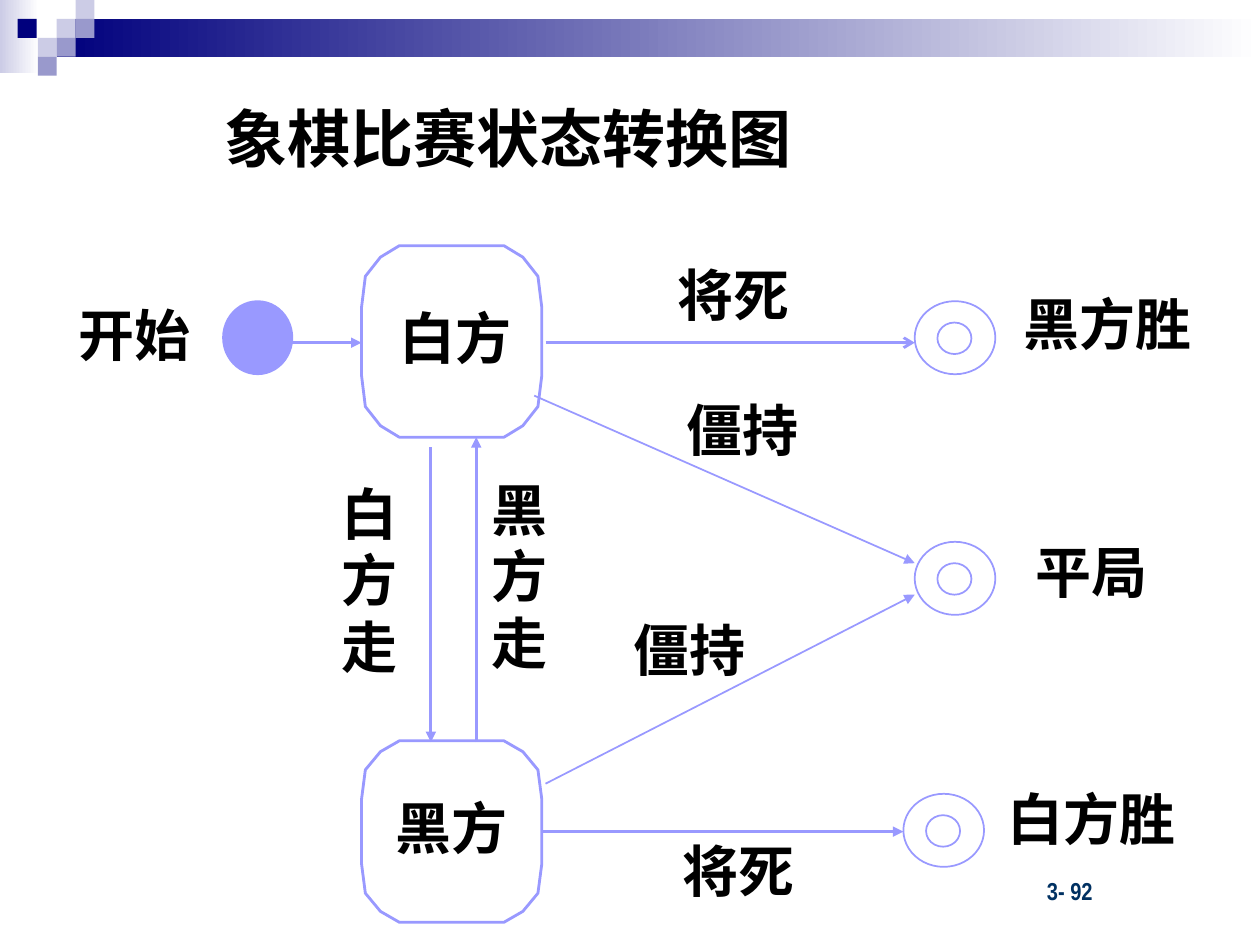
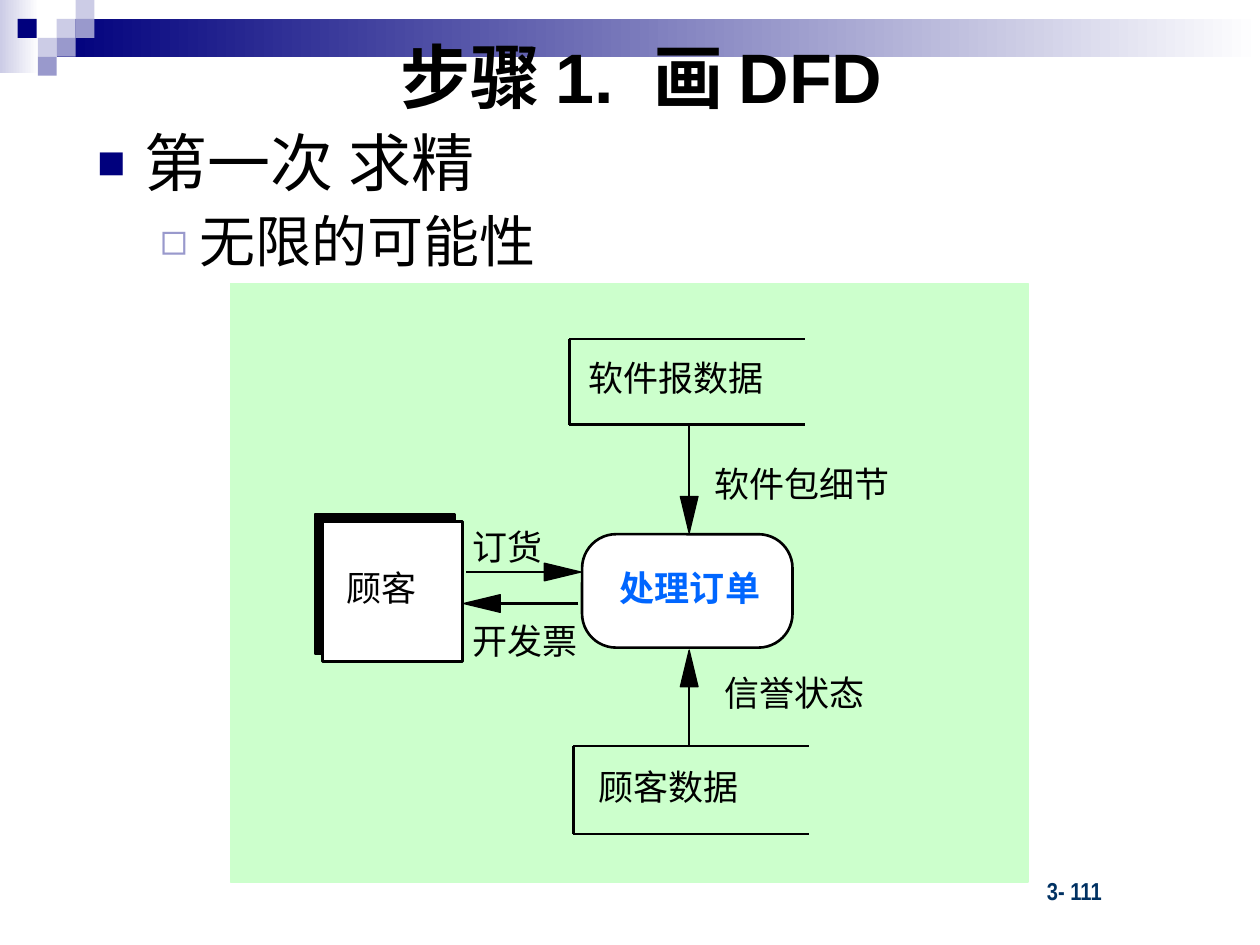
from pptx import Presentation
from pptx.dml.color import RGBColor
from pptx.enum.shapes import MSO_CONNECTOR, MSO_SHAPE
from pptx.enum.text import MSO_ANCHOR, MSO_AUTO_SIZE, PP_ALIGN
from pptx.oxml.ns import qn
from pptx.shapes.connector import Connector
from pptx.util import Inches, Pt
from lxml.etree import SubElement

HUES = {
    "navy": "00007D", "mist": "CCCCE6", "haze": "9999CC", "white": "FFFFFF",
    "black": "000000", "lilac": "9999FF", "mint": "CCFFCC", "blue": "0066FF",
    "ink": "003162",
}
RGB = {name: RGBColor.from_string(code) for name, code in HUES.items()}
CJK = "Noto Sans CJK SC"


def paint(item, edge, width=1, fill=None):
    """Set the outline, fill and lack of shadow of a shape or connector."""
    if edge:
        item.line.color.rgb = RGB[edge]
        item.line.width = Pt(width)
    else:
        item.line.fill.background()
    if isinstance(item, Connector):
        SubElement(item.element.spPr, qn("a:effectLst"))
        return
    item.shadow.inherit = False
    if fill:
        item.fill.solid()
        item.fill.fore_color.rgb = RGB[fill]
    else:
        item.fill.background()


def write(para, text, size, hue="black", bold=False, face="Arial"):
    """Add one run, with its Latin and East Asian fonts."""
    run = para.add_run()
    run.text = text
    run.font.name = face
    run.font.size = Pt(size)
    run.font.bold = bold
    run.font.color.rgb = RGB[hue]
    SubElement(run.font._element, qn("a:ea")).set("typeface", CJK)


prs = Presentation()
prs.slide_width, prs.slide_height = Inches(10), Inches(7.5)
chess = prs.slides.add_slide(prs.slide_layouts[5])
flow = prs.slides.add_slide(prs.slide_layouts[1])

# Top band and squares, kept on the master
master = prs.slide_master.shapes.element
bands = [
    (0, 0, 0.31, 0.58, "mist", True),
    (0.45, 0.15, 9.55, 0.3, "navy", True),
]
bands += [(x, y, 0.15, 0.15, hue, False) for x, y, hue in (
    (0.45, 0.15, "mist"), (0.6, 0, "mist"), (0.6, 0.15, "haze"),
    (0.3, 0.3, "mist"), (0.14, 0.15, "navy"), (0.45, 0.3, "haze"),
    (0.3, 0.45, "haze"),
)]
for n, (x, y, w, h, hue, fade) in enumerate(bands):
    band = chess.shapes.add_shape(
        MSO_SHAPE.RECTANGLE, Inches(x), Inches(y), Inches(w), Inches(h))
    paint(band, None, fill=hue)
    if fade:
        band.fill.gradient()
        band.fill.gradient_angle = 0
        for stop, tone, spot in zip(band.fill.gradient_stops, (hue, "white"), (0, 1)):
            stop.color.rgb = RGB[tone]
            stop.position = spot
    band.element.nvSpPr.cNvPr.set("id", str(20 + n))
    master.insert(2 + n, band.element)

# Titles and page numbers
for page, text, size, number, x, y, w, h in (
    (chess, "象棋比赛状态转换图", 36, "3- 92", 1.07, 0.74, 5.92, 0.7),
    (flow, "步骤 1.  画 DFD", 40, "3- 111", 0.59, 0, 9, 1.2),
):
    title = page.shapes.title
    title.left, title.top = Inches(x), Inches(y)
    title.width, title.height = Inches(w), Inches(h)
    frame = title.text_frame
    frame.auto_size = MSO_AUTO_SIZE.NONE
    frame.vertical_anchor = MSO_ANCHOR.MIDDLE
    frame.paragraphs[0].alignment = PP_ALIGN.CENTER
    write(frame.paragraphs[0], text, size, bold=True)
    foot = page.shapes.add_textbox(Inches(8.21), Inches(6.9), Inches(1.15), Inches(0.33))
    foot.text_frame.word_wrap = True
    write(foot.text_frame.paragraphs[0], number, 14, "ink", True, "Arial Narrow")

# Bulleted list
body = flow.placeholders[1]
body.left, body.top = Inches(0.67), Inches(1)
body.width, body.height = Inches(9.33), Inches(1.25)
frame = body.text_frame
frame.auto_size = MSO_AUTO_SIZE.NONE
for level, (text, size, gap, left, hang, mark, hue, scale) in enumerate((
    ("第一次 求精", 36, 0, 0.38, 0.38, "■", "navy", 75),
    ("无限的可能性", 32, 8, 0.81, 0.31, "◻", "haze", 80),
)):
    para = frame.add_paragraph() if level else frame.paragraphs[0]
    para.level = level
    props = para._p.get_or_add_pPr()
    props.set("marL", str(Inches(left)))
    props.set("indent", str(-Inches(hang)))
    tint = SubElement(props, qn("a:buClr"))
    SubElement(tint, qn("a:srgbClr")).set("val", HUES[hue])
    SubElement(props, qn("a:buSzPct")).set("val", str(scale * 1000))
    SubElement(props, qn("a:buFont")).set("typeface", "Arial")
    SubElement(props, qn("a:buChar")).set("char", mark)
    para.line_spacing = 0.9
    para.space_before = Pt(gap)
    write(para, text, size)

# Start dot and ringed end states, then the data flow panel and its boxes
OVAL, RECT = MSO_SHAPE.OVAL, MSO_SHAPE.RECTANGLE
parts = [(chess, OVAL, 1.77, 2.39, 0.55, 0.58, "lilac", 1, "lilac")]
for x, y in ((7.26, 2.39), (7.26, 4.3), (7.17, 6.3)):
    parts += [
        (chess, OVAL, x, y, 0.64, 0.58, "lilac", 1, None),
        (chess, OVAL, x + 0.18, y + 0.17, 0.27, 0.25, "lilac", 1, None),
    ]
parts += [
    (flow, RECT, 1.83, 2.25, 6.33, 4.75, "mint", 1, "mint"),
    (flow, MSO_SHAPE.ROUNDED_RECTANGLE, 4.62, 4.24, 1.67, 0.9, "black", 1.5, "white"),
    (flow, RECT, 2.5, 4.08, 1.11, 1.11, "black", 1.5, "black"),
    (flow, RECT, 2.56, 4.14, 1.11, 1.11, "black", 1.5, "white"),
]
for page, kind, x, y, w, h, edge, width, fill in parts:
    part = page.shapes.add_shape(kind, Inches(x), Inches(y), Inches(w), Inches(h))
    paint(part, edge, width, fill)
    if kind == MSO_SHAPE.ROUNDED_RECTANGLE:
        part.adjustments[0] = 0.3

# Chess state boxes: one corner, mirrored across and down
forms = []
corner = [(0, 0.32), (0.03, 0.16), (0.15, 0.06), (0.3, 0)]
wide = 1.43
upper = corner + [(wide - x, y) for x, y in reversed(corner)]
ring = upper + [(x, 1 - y) for x, y in reversed(upper)]
for top, high in ((1.95, 1.52), (5.88, 1.44)):
    dots = [(2.87 + x, top + y * high) for x, y in ring]
    forms.append((chess, dots, "lilac", 1.62, None))

# Lines: page, start, end, hue, width, arrowhead
lines = [(chess, *ends, "lilac", width, head) for *ends, width, head in (
    (2.32, 2.72, 2.87, 2.72, 1.62, "triangle"),
    (4.33, 2.72, 7.26, 2.72, 1.62, "arrow"),
    (4.3, 6.6, 7.17, 6.6, 1.62, "triangle"),
    (3.78, 5.89, 3.78, 3.47, 1.62, "triangle"),
    (3.42, 3.55, 3.42, 5.89, 1.62, "triangle"),
    (4.33, 6.22, 7.26, 4.72, 1, "triangle"),
    (4.24, 3.14, 7.26, 4.47, 1, "triangle"),
)]
for x, top, low in ((4.52, 2.69, 3.37), (4.55, 5.92, 6.62)):
    for ends in ((x, top, x + 1.87, top), (x, top, x, low), (x, low, x + 1.87, low)):
        lines.append((flow, *ends, "black", 1.5, None))

# Data flows: a shaft and a long solid tip; (dx, dy) is the direction
for x, y, dx, dy, size in (
    (3.7, 4.54, 1, 0, 0.91), (4.59, 4.79, -1, 0, 0.91),
    (5.47, 3.37, 0, 1, 0.86), (5.47, 5.92, 0, -1, 0.76),
):
    tip = (x + dx * size, y + dy * size)
    neck = (tip[0] - dx * 0.29, tip[1] - dy * 0.29)
    lines.append((flow, x, y, *neck, "black", 1.5, None))
    sides = [(neck[0] + s * dy, neck[1] + s * dx) for s in (-0.07, 0.07)]
    forms.append((flow, [tip, *sides], "black", 0.75, "black"))

for page, x1, y1, x2, y2, hue, width, head in lines:
    line = page.shapes.add_connector(
        MSO_CONNECTOR.STRAIGHT, Inches(x1), Inches(y1), Inches(x2), Inches(y2))
    paint(line, hue, width)
    if head:
        SubElement(line.element.spPr.find(qn("a:ln")), qn("a:tailEnd")).set("type", head)

for page, dots, edge, width, fill in forms:
    dots = [(Inches(x), Inches(y)) for x, y in dots]
    pen = page.shapes.build_freeform(*dots[0])
    pen.add_line_segments(dots[1:], close=True)
    paint(pen.convert_to_shape(), edge, width, fill)

# Labels
states = [
    ("白方", 3.12, 2.41, 0.99), ("黑方", 3.09, 6.3, 0.99),
    ("将死", 5.2, 2.07, 1.24), ("僵持", 5.25, 3.14, 1.28),
    ("僵持", 4.79, 4.89, 1.37), ("将死", 5.2, 6.64, 1.33),
    ("黑方胜", 7.85, 2.3, 1.88), ("平局", 7.99, 4.27, 1.34),
    ("白方胜", 7.72, 6.23, 1.88), ("开始", 0.49, 2.39, 1.16),
    ("黑方走", 3.82, 3.77, 0.6), ("白方走", 2.63, 3.8, 0.6),
]
notes = [
    ("顾客", 2.75, 4.5, 0.85), ("处理订单", 4.92, 4.5, 1.17),
    ("订货", 3.75, 4.17, 0.85), ("开发票", 3.75, 4.92, 0.85),
    ("软件报数据", 4.67, 2.83, 1.92), ("顾客数据", 4.75, 6.08, 1.92),
    ("信誉状态", 5.75, 5.33, 1.25), ("软件包细节", 5.67, 3.67, 1.42),
]
for page, labels, size, high, side, face in (
    (chess, states, 32, 0.53, PP_ALIGN.CENTER, CJK),
    (flow, notes, 20, 0.33, PP_ALIGN.LEFT, "Arial"),
):
    for text, x, y, w in labels:
        tall = w == 0.6
        box = page.shapes.add_textbox(
            Inches(x), Inches(y), Inches(w), Inches(1.6 if tall else high))
        frame = box.text_frame
        frame.word_wrap = True
        frame.vertical_anchor = MSO_ANCHOR.MIDDLE
        frame.margin_left = frame.margin_right = 0
        frame.margin_top = frame.margin_bottom = 0
        para = frame.paragraphs[0]
        para.alignment = side
        if tall:
            para.line_spacing = Pt(38)
        key = text == "处理订单"
        write(para, text, size, "blue" if key else "black", key or page is chess, face)

prs.save("out.pptx")
